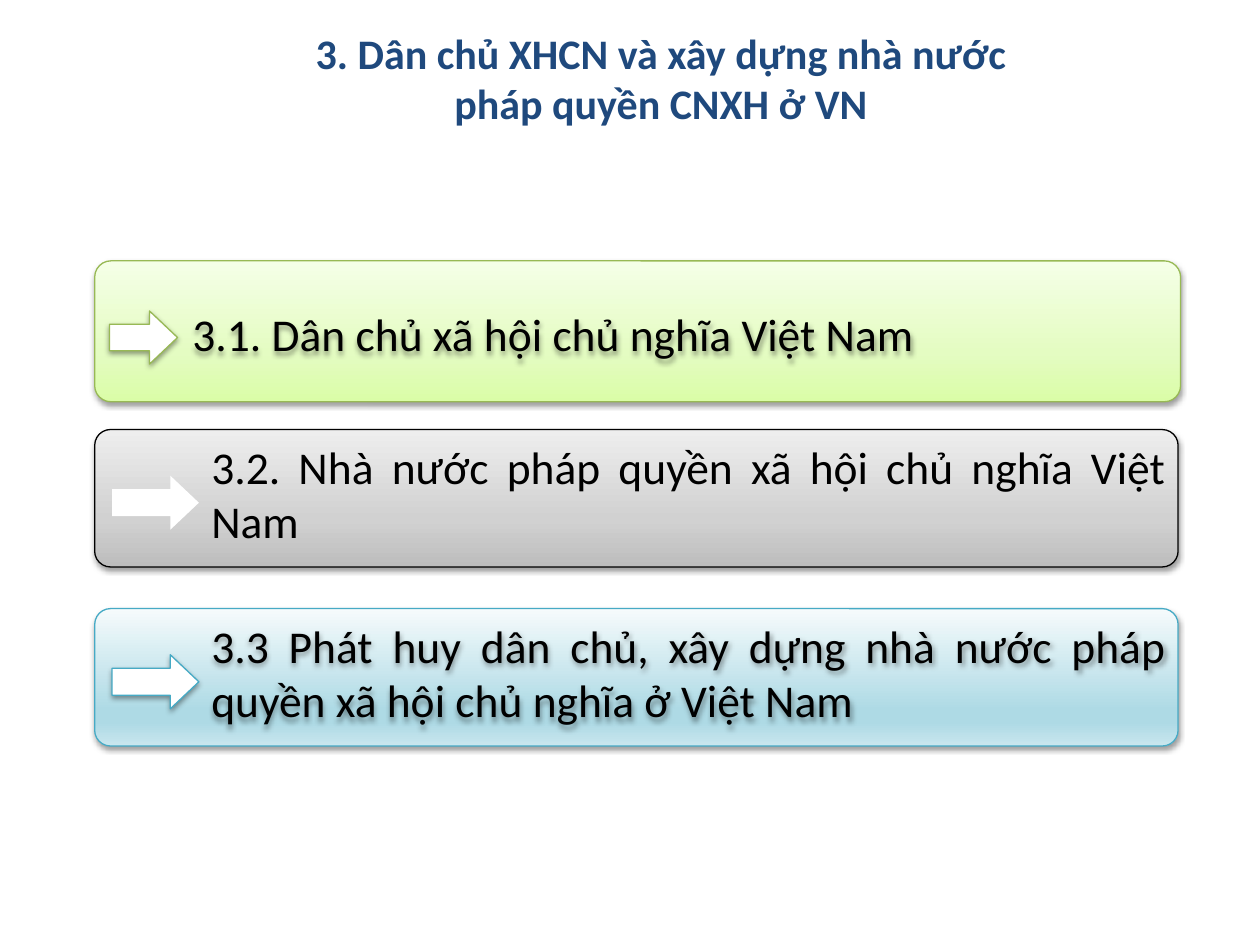
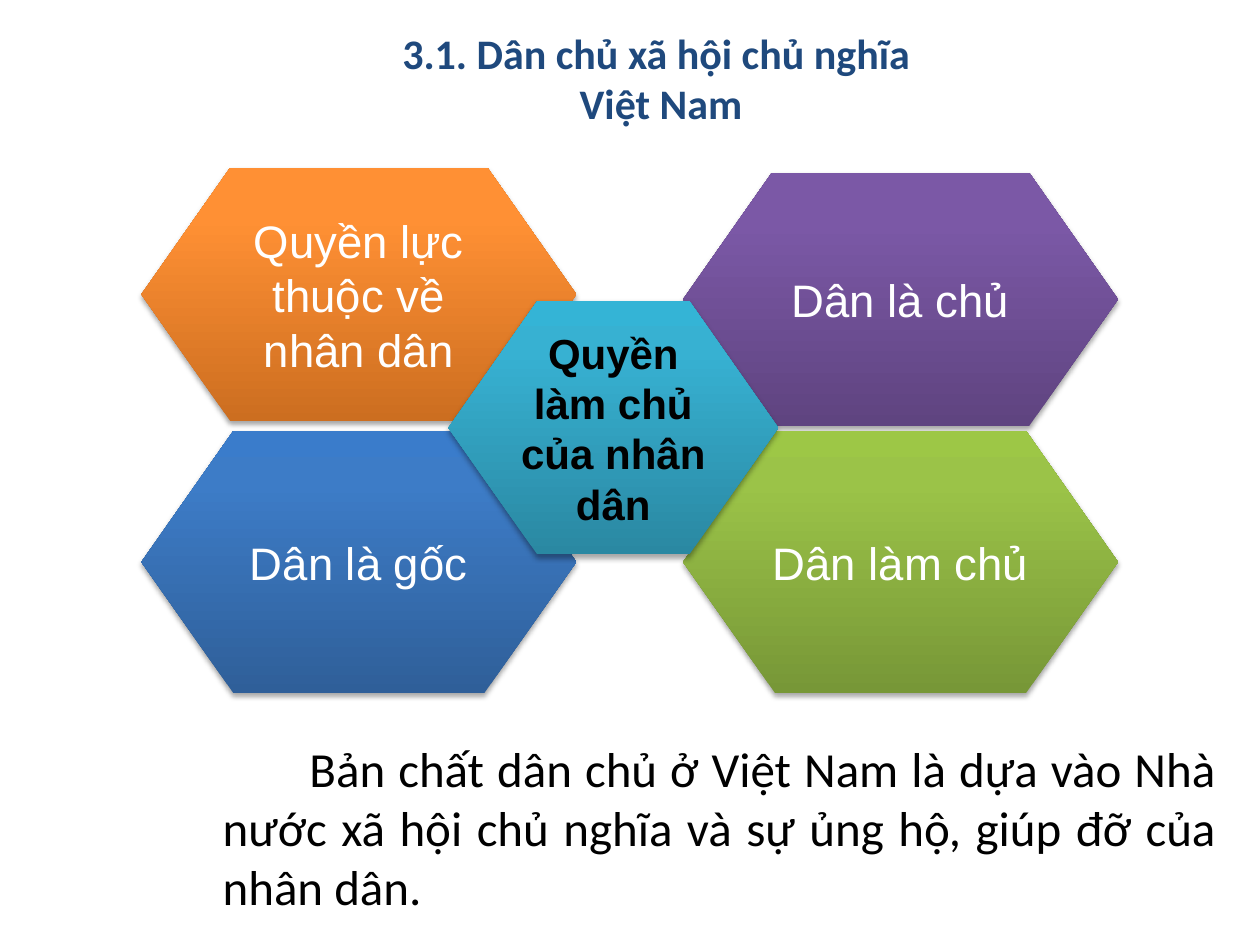
from lxml.etree import SubElement
from pptx import Presentation
from pptx.dml.color import RGBColor
from pptx.enum.shapes import MSO_SHAPE
from pptx.enum.text import MSO_ANCHOR, PP_ALIGN
from pptx.oxml.ns import qn
from pptx.util import Cm, Pt

WHITE = RGBColor(0xFF, 0xFF, 0xFF)
BLACK = RGBColor(0, 0, 0)
NAVY = RGBColor(0x1F, 0x49, 0x7D)
GREEN = RGBColor(0x98, 0xB9, 0x55)
TEAL = RGBColor(0x46, 0xAA, 0xC5)


def gradient(angle, **stops):
    """Angle is counter-clockwise; stops read like at35="E4FCC2"."""
    return angle, [(int(key[2:]), RGBColor.from_string(value)) for key, value in stops.items()]


PALE_GREEN = gradient(90, at0="DAFDA7", at35="E4FCC2", at100="F5FFE7")
PALE_GREY = gradient(90, at0="BDBDBD", at35="D1D1D1", at100="EEEEEE")
PALE_TEAL = gradient(270, at0="F6FBFC", at74="AEDAE5", at83="AEDAE5", at100="C9E6EE")
DEEP_ORANGE = gradient(90, at0="CC6E20", at80="FF9034", at100="FF9136")
DEEP_PURPLE = gradient(90, at0="5F4480", at80="7B58A6", at100="7C57A8")
DEEP_GREEN = gradient(90, at0="779737", at80="9BC348", at100="9DC746")
DEEP_BLUE = gradient(90, at0="2F5F99", at80="3D7CC7", at100="3A7CCB")
DEEP_TEAL = gradient(90, at0="2A88A2", at80="37B1D2", at100="34B4D6")

TITLE_FONT = {"name": "Calibri", "size": Pt(24), "bold": True}
ROW_FONT = {"name": "Calibri", "size": Pt(26)}
BODY_FONT = {"name": "Calibri", "size": Pt(28)}
HEXAGON_FONT = {"name": "Arial", "size": Pt(26)}
CENTRE_FONT = {"name": "Arial", "size": Pt(24), "bold": True}


def add_shadow(shape, opacity, distance):
    shape.shadow.inherit = False
    effects = shape._element.spPr.find(qn("a:effectLst"))
    shadow = SubElement(effects, qn("a:outerShdw"), blurRad=str(Pt(3.1)), dist=str(Pt(distance)),
                        dir="5400000", rotWithShape="0")
    color = SubElement(shadow, qn("a:srgbClr"), val=str(BLACK))
    SubElement(color, qn("a:alpha"), val=str(opacity * 1000))


def fill_gradient(shape, colors):
    angle, stops = colors
    shape.fill.gradient()
    shape.fill.gradient_angle = angle
    stop_list = shape._element.spPr.find(qn("a:gradFill")).find(qn("a:gsLst"))
    for stop in list(stop_list):
        stop_list.remove(stop)
    for position, color in stops:
        stop = SubElement(stop_list, qn("a:gs"), pos=str(position * 1000))
        SubElement(stop, qn("a:srgbClr"), val=str(color))


def add_preset(slide, preset, box, adjustments, line=None):
    shape = slide.shapes.add_shape(preset, *map(Cm, box))
    for index, value in enumerate(adjustments):
        shape.adjustments[index] = value
    shape.shadow.inherit = False
    if line is None:
        shape.line.fill.background()
    else:
        shape.line.color.rgb = line
        shape.line.width = Pt(0.75)
    return shape


def write(shape, lines, font, color, align):
    frame = shape.text_frame
    frame.word_wrap = True
    for index, line in enumerate(lines):
        paragraph = frame.paragraphs[0] if index == 0 else frame.add_paragraph()
        paragraph.alignment = align
        run = paragraph.add_run()
        run.text = line
        for name, value in font.items():
            setattr(run.font, name, value)
        run.font.color.rgb = color


def add_text(slide, box, lines, font, color, align):
    text_box = slide.shapes.add_textbox(*map(Cm, box))
    write(text_box, lines, font, color, align)
    return text_box


def add_titled_slide(presentation, *lines):
    slide = presentation.slides.add_slide(presentation.slide_layouts[6])
    add_text(slide, (5.92, 0.43, 14.81, 2.31), lines, TITLE_FONT, NAVY, PP_ALIGN.CENTER)
    return slide


def add_agenda_row(slide, box, text, text_box, arrow_box, colors, line, raised=True):
    """Place text and arrow relative to the panel; a raised row casts shadows from both."""
    left, top, width, height = box

    def inside(part):
        return left + part[0], top + part[1], part[2], part[3]

    panel = add_preset(slide, MSO_SHAPE.ROUNDED_RECTANGLE, box, [0.115], line)
    fill_gradient(panel, colors)
    label = add_text(slide, inside(text_box), [text], ROW_FONT, BLACK, PP_ALIGN.JUSTIFY)
    arrow = add_preset(slide, MSO_SHAPE.RIGHT_ARROW, inside(arrow_box), [0.5, 0.528],
                       line if raised else None)
    arrow.fill.solid()
    arrow.fill.fore_color.rgb = WHITE
    for shape in (panel, label, arrow) if raised else (panel,):
        add_shadow(shape, 38, 1.6)


def add_hexagon(slide, box, text, colors, font=HEXAGON_FONT, color=WHITE, margin=0.25):
    hexagon = add_preset(slide, MSO_SHAPE.HEXAGON, box, [0.351])
    fill_gradient(hexagon, colors)
    add_shadow(hexagon, 35, 1.8)
    frame = hexagon.text_frame
    frame.vertical_anchor = MSO_ANCHOR.MIDDLE
    frame.margin_left = frame.margin_right = Cm(margin)
    write(hexagon, [text], font, color, PP_ALIGN.CENTER)


def build_agenda(presentation):
    slide = add_titled_slide(presentation, "3. Dân chủ XHCN và xây dựng nhà nước pháp quyền CNXH ở VN")
    left = 1.91
    add_agenda_row(slide, (left, 5.26, 21.89, 2.84), "3.1. Dân chủ xã hội chủ nghĩa Việt Nam",
                   (1.72, 0.79, 19.94, 1.37), (0.3, 1.01, 1.37, 1.07), PALE_GREEN, GREEN)
    text_box, arrow_box = (2.1, 0.06, 19.76, 2.49), (0.35, 0.93, 1.75, 1.09)
    add_agenda_row(slide, (left, 8.66, 21.84, 2.77), "3.2. Nhà nước pháp quyền xã hội chủ nghĩa Việt Nam",
                   text_box, arrow_box, PALE_GREY, BLACK, raised=False)
    add_agenda_row(slide, (left, 12.27, 21.84, 2.77),
                   "3.3 Phát huy dân chủ, xây dựng nhà nước pháp quyền xã hội chủ nghĩa ở Việt Nam",
                   text_box, arrow_box, PALE_TEAL, TEAL)


def build_democracy(presentation):
    slide = add_titled_slide(presentation, "3.1. Dân chủ xã hội chủ nghĩa ", "Việt Nam")
    body = add_text(slide, (4.24, 14.76, 20.52, 3.84),
                    ["Bản chất dân chủ ở Việt Nam là dựa vào Nhà nước xã hội chủ nghĩa "
                     "và sự ủng hộ, giúp đỡ của nhân dân."],
                    BODY_FONT, BLACK, PP_ALIGN.JUSTIFY)
    body.text_frame.paragraphs[0]._p.get_or_add_pPr().set("indent", str(Cm(1.75)))

    left, right, lower, width = 2.85, 13.77, 8.69, 8.77
    add_hexagon(slide, (left, 3.38, width, 5.11), "Quyền lực thuộc về nhân dân", DEEP_ORANGE, margin=0.6)
    add_hexagon(slide, (right, 3.48, width, 5.11), "Dân là chủ", DEEP_PURPLE)
    add_hexagon(slide, (right, lower, width, 5.28), "Dân làm chủ", DEEP_GREEN)
    add_hexagon(slide, (left, lower, width, 5.28), "Dân là gốc", DEEP_BLUE)
    add_hexagon(slide, (9.04, 6.07, 6.65, 5.11), "Quyền làm chủ của nhân dân", DEEP_TEAL,
                CENTRE_FONT, BLACK)


def main():
    presentation = Presentation()
    presentation.slide_width, presentation.slide_height = Cm(25.4), Cm(19.05)
    build_agenda(presentation)
    build_democracy(presentation)
    presentation.save("out.pptx")


if __name__ == "__main__":
    main()
